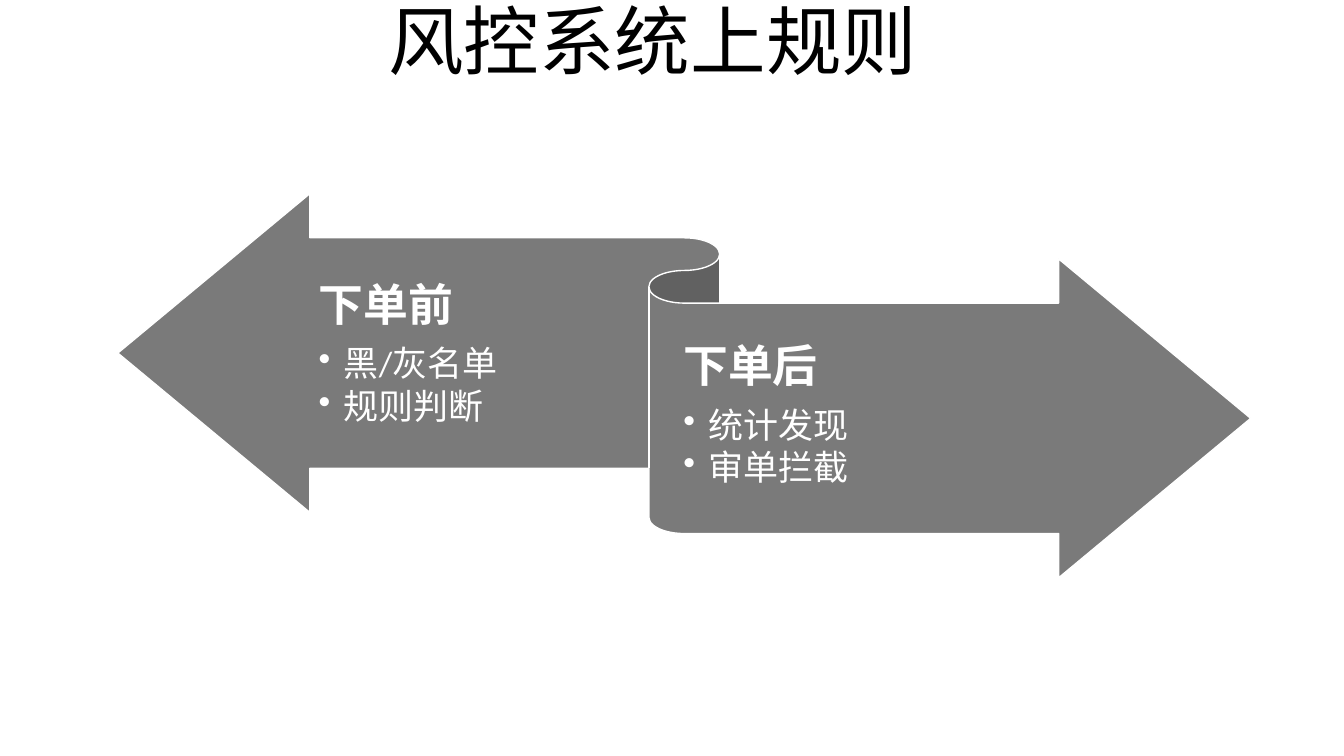
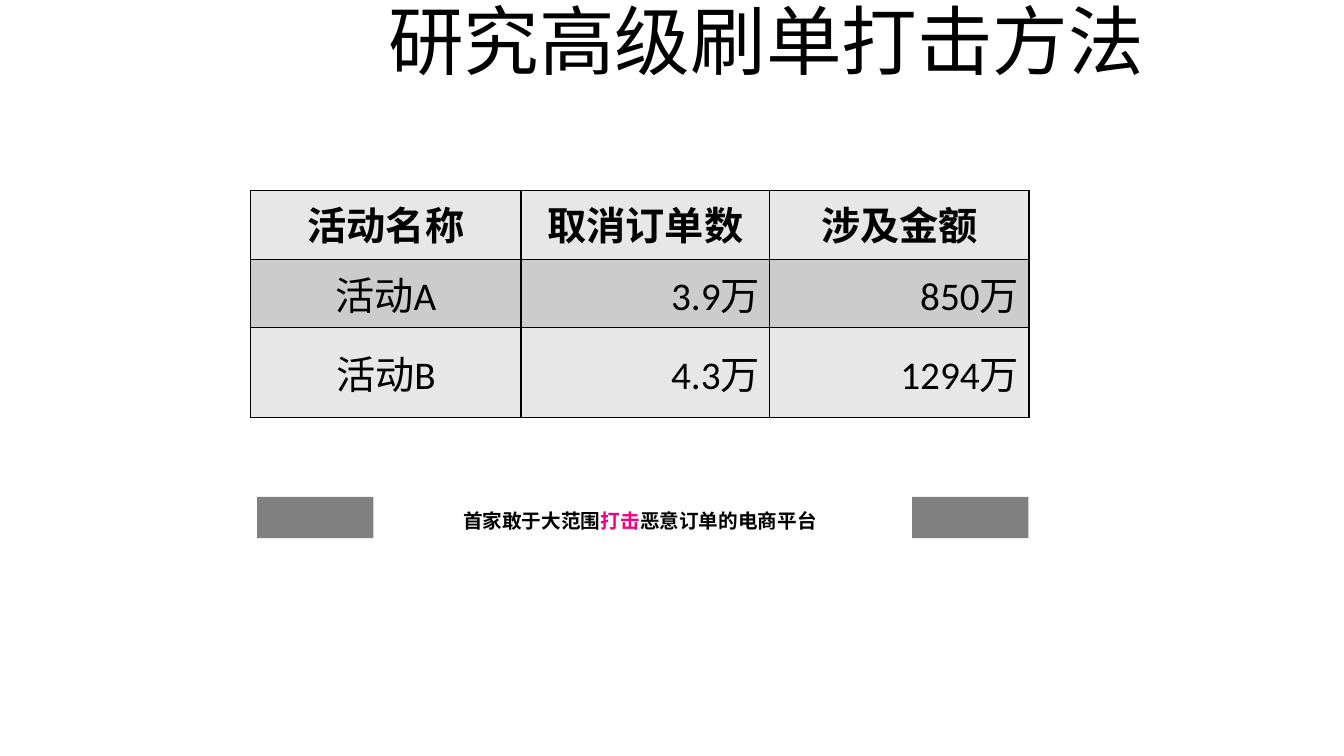
"""Build two slides on order risk control: a before/after ribbon and a results table."""
from dataclasses import dataclass
from typing import Optional

from lxml.etree import SubElement
from pptx import Presentation
from pptx.dml.color import RGBColor
from pptx.enum.shapes import MSO_SHAPE
from pptx.enum.text import MSO_ANCHOR, MSO_AUTO_SIZE, PP_ALIGN
from pptx.oxml.ns import qn
from pptx.util import Cm, Pt


@dataclass(frozen=True)
class Theme:
    black: str = "000000"
    white: str = "FFFFFF"
    ribbon: str = "7A7A7A"
    block: str = "808080"
    accent: str = "F10180"
    light_row: str = "E7E7E7"
    dark_row: str = "CCCCCC"
    latin: str = "Calibri"
    cjk: str = "Noto Sans CJK SC"
    title_size: int = 54
    heading_size: int = 32
    cell_size: int = 28
    bullet_size: int = 25
    caption_size: int = 14


@dataclass(frozen=True)
class Box:
    left: float
    top: float
    width: float
    height: float

    def lengths(self) -> tuple:
        return Cm(self.left), Cm(self.top), Cm(self.width), Cm(self.height)


@dataclass(frozen=True)
class Stage:
    heading: str
    points: tuple
    box: Box


THEME = Theme()
TITLE_BOX = Box(9.53, -0.28, 25.2, 2.57)
RIBBON_BOX = Box(2.97, 4.88, 28.55, 9.68)
STAGES = (
    Stage("下单前", ("黑/灰名单", "规则判断"), Box(8.03, 6.58, 7.98, 4.75)),
    Stage("下单后", ("统计发现", "审单拦截"), Box(17.22, 8.13, 9.45, 4.75)),
)
RESULTS = (
    ("活动名称", "取消订单数", "涉及金额"),
    ("活动A", "3.9万", "850万"),
    ("活动B", "4.3万", "1294万"),
)
RESULT_COLUMNS = (6.81, 6.27, 6.53)
RESULT_ROWS = (1.73, 1.73, 2.26)
RESULTS_BOX = Box(6.32, 4.8, sum(RESULT_COLUMNS), sum(RESULT_ROWS))
CAPTION_BOX = Box(9.53, 12.52, 13.2, 1.04)
SIDE_BLOCKS = (Box(6.48, 12.52, 2.93, 1.04), Box(22.99, 12.52, 2.93, 1.04))
CAPTION = (
    ("首家敢于大范围", THEME.black),
    ("打击", THEME.accent),
    ("恶意订单的电商平台", THEME.black),
)


def rgb(value: str) -> RGBColor:
    return RGBColor.from_string(value)


def write(paragraph, text: str, *, size: int, color: str = THEME.black,
          bold: bool = False, font: str = THEME.latin, east: str = THEME.latin,
          align: Optional[PP_ALIGN] = None, line: Optional[float] = None,
          after: Optional[float] = None) -> None:
    run = paragraph.add_run()
    run.text = text
    run.font.size = Pt(size)
    run.font.bold = bold
    run.font.color.rgb = rgb(color)
    run.font.name = font
    SubElement(run.font._element, qn("a:ea"), typeface=east)
    if align is not None:
        paragraph.alignment = align
    if line is not None:
        paragraph.line_spacing = line
    if after is not None:
        paragraph.space_after = Pt(after)


def add_bullet(paragraph) -> None:
    paragraph.level = 1
    properties = paragraph._p.get_or_add_pPr()
    indent = Cm(0.64)
    properties.set("marL", str(indent))
    properties.set("indent", str(-indent))
    SubElement(properties, qn("a:buChar"), char="•")


def add_block(slide, preset: MSO_SHAPE, box: Box, fill: str,
              outline: Optional[str] = None):
    block = slide.shapes.add_shape(preset, *box.lengths())
    block.shadow.inherit = False
    block.fill.solid()
    block.fill.fore_color.rgb = rgb(fill)
    if outline is None:
        block.line.fill.background()
    else:
        block.line.color.rgb = rgb(outline)
        block.line.width = Pt(1)
    return block


def add_titled_slide(deck, title: str):
    slide = deck.slides.add_slide(deck.slide_layouts[6])
    frame = slide.shapes.add_textbox(*TITLE_BOX.lengths()).text_frame
    frame.word_wrap = True
    frame.auto_size = MSO_AUTO_SIZE.SHAPE_TO_FIT_TEXT
    write(frame.paragraphs[0], title, size=THEME.title_size, font=THEME.cjk)
    return slide


def add_stage(slide, stage: Stage) -> None:
    frame = slide.shapes.add_textbox(*stage.box.lengths()).text_frame
    frame.word_wrap = True
    frame.vertical_anchor = MSO_ANCHOR.MIDDLE
    frame.margin_left = frame.margin_right = 0
    frame.margin_top, frame.margin_bottom = Cm(0.3), Cm(0.33)
    write(frame.paragraphs[0], stage.heading, size=THEME.heading_size,
          color=THEME.white, bold=True, line=0.9, after=11)
    for point in stage.points:
        paragraph = frame.add_paragraph()
        add_bullet(paragraph)
        write(paragraph, point, size=THEME.bullet_size, color=THEME.white,
              line=0.9, after=3.5)


def add_borders(cell) -> None:
    properties = cell._tc.get_or_add_tcPr()
    for side in ("lnL", "lnR", "lnT", "lnB"):
        border = SubElement(properties, qn(f"a:{side}"), w=str(Pt(1)))
        fill = SubElement(border, qn("a:solidFill"))
        SubElement(fill, qn("a:srgbClr"), val=THEME.black)


def add_results(slide) -> None:
    table = slide.shapes.add_table(len(RESULT_ROWS), len(RESULT_COLUMNS),
                                   *RESULTS_BOX.lengths()).table
    table.first_row = table.horz_banding = False
    for column, width in zip(table.columns, RESULT_COLUMNS):
        column.width = Cm(width)
    for row, height in zip(table.rows, RESULT_ROWS):
        row.height = Cm(height)
    for r, values in enumerate(RESULTS):
        for c, value in enumerate(values):
            cell = table.cell(r, c)
            header = r == 0
            add_borders(cell)
            cell.fill.solid()
            cell.fill.fore_color.rgb = rgb(THEME.dark_row if r % 2 else THEME.light_row)
            cell.vertical_anchor = MSO_ANCHOR.TOP if header else MSO_ANCHOR.MIDDLE
            write(cell.text_frame.paragraphs[0], value, size=THEME.cell_size,
                  bold=header, east=THEME.cjk,
                  align=PP_ALIGN.CENTER if header or c == 0 else PP_ALIGN.RIGHT)


def add_caption(slide) -> None:
    for box in SIDE_BLOCKS:
        add_block(slide, MSO_SHAPE.RECTANGLE, box, THEME.block)
    frame = add_block(slide, MSO_SHAPE.RECTANGLE, CAPTION_BOX, THEME.white).text_frame
    frame.word_wrap = True
    frame.vertical_anchor = MSO_ANCHOR.TOP
    for text, color in CAPTION:
        write(frame.paragraphs[0], text, size=THEME.caption_size, color=color,
              bold=True, font=THEME.cjk, align=PP_ALIGN.CENTER, line=1.3)


def main() -> None:
    deck = Presentation()
    deck.slide_width, deck.slide_height = Cm(33.87), Cm(19.05)

    rules = add_titled_slide(deck, "风控系统上规则")
    ribbon = add_block(rules, MSO_SHAPE.LEFT_RIGHT_RIBBON, RIBBON_BOX,
                       THEME.ribbon, THEME.white)
    ribbon.adjustments[0] = 0.6
    ribbon.adjustments[1] = 0.5
    ribbon.adjustments[2] = 0.17
    for stage in STAGES:
        add_stage(rules, stage)

    methods = add_titled_slide(deck, "研究高级刷单打击方法")
    add_caption(methods)
    add_results(methods)

    deck.save("out.pptx")


if __name__ == "__main__":
    main()
